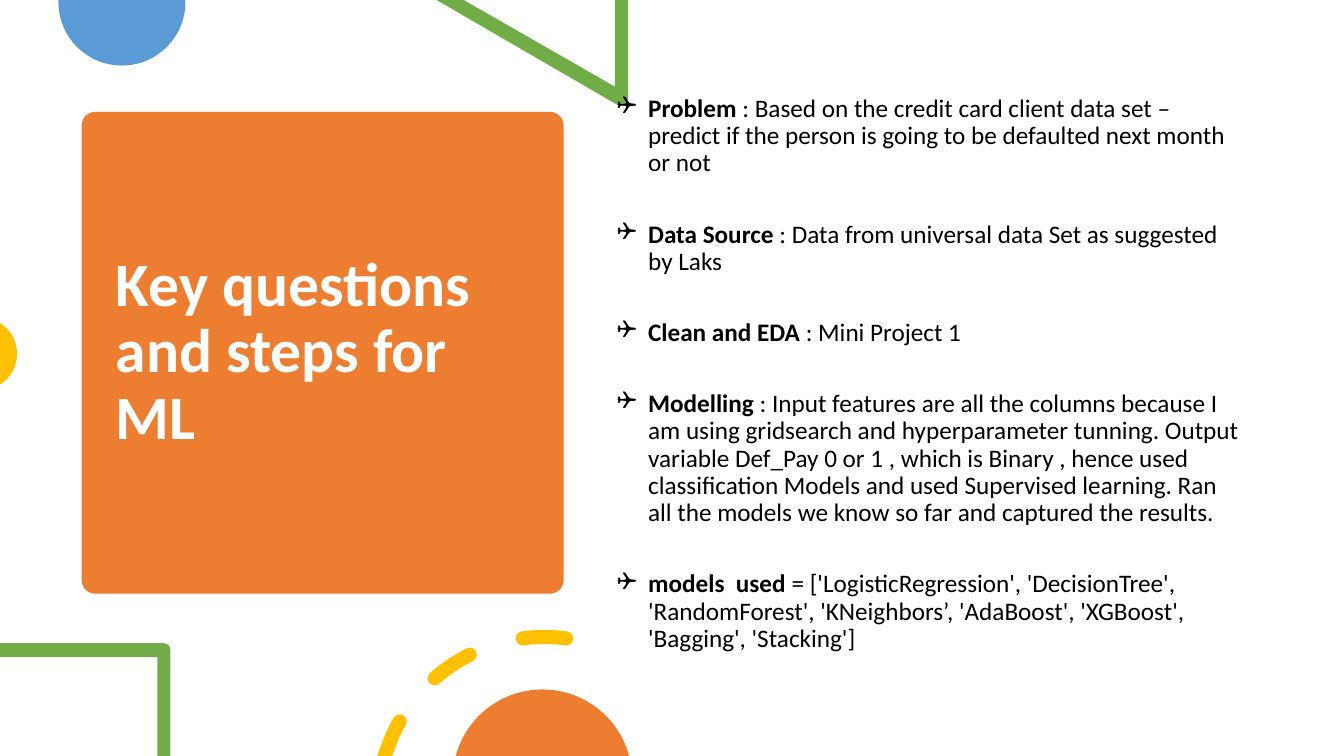
"""Build the slide on key questions and steps for a machine learning project."""
from math import ceil, cos, radians, sin, tan

from lxml import etree
from pptx import Presentation
from pptx.dml.color import RGBColor
from pptx.enum.shapes import MSO_SHAPE
from pptx.enum.text import MSO_ANCHOR, MSO_AUTO_SIZE, PP_ALIGN
from pptx.oxml.ns import qn
from pptx.util import Inches, Pt

ROUND = MSO_SHAPE.ROUNDED_RECTANGLE
MIDDLE = MSO_ANCHOR.MIDDLE
FIXED = MSO_AUTO_SIZE.NONE
LEFT = PP_ALIGN.LEFT
ORANGE, GREEN, YELLOW, BLUE = "ED7D31", "70AD47", "FFC000", "5B9BD5"
FONT = "Calibri"

deck = Presentation()
deck.slide_width, deck.slide_height = Inches(13.33), Inches(7.5)
slide = deck.slides.add_slide(deck.slide_layouts[5])
shapes = slide.shapes


def arc(x, y, r, start, end):
    """Return the first point of an arc, then its curves of three points each."""
    count = ceil(abs(end - start) / 90)
    step = radians(end - start) / count
    pull = 4 / 3 * tan(step / 4)
    parts = [(x + r * cos(radians(start)), y + r * sin(radians(start)))]
    for i in range(count):
        a = radians(start) + i * step
        b = a + step
        parts.append(((x + r * (cos(a) - pull * sin(a)), y + r * (sin(a) + pull * cos(a))),
                      (x + r * (cos(b) + pull * sin(b)), y + r * (sin(b) - pull * cos(b))),
                      (x + r * cos(b), y + r * sin(b))))
    return parts


def draw(color, *loops):
    """Draw filled outlines of points and curves as one shape."""
    pen = None
    for loop in loops:
        ends = [part if len(part) == 2 else part[-1] for part in loop]
        first, *rest = [(Inches(x), Inches(y)) for x, y in ends]
        if pen is None:
            pen = shapes.build_freeform(*first)
        else:
            pen.move_to(*first)
        pen.add_line_segments(rest, close=True)
    shape = pen.convert_to_shape()
    nodes = list(shape.element.iter(qn("a:moveTo"), qn("a:lnTo")))
    for node, part in zip(nodes, sum(loops, [])):
        if len(part) == 3:
            node.tag = qn("a:cubicBezTo")
            for i, (x, y) in enumerate(part[:2]):
                point = etree.Element(qn("a:pt"))
                point.set("x", str(Inches(x) - shape.left))
                point.set("y", str(Inches(y) - shape.top))
                node.insert(i, point)
    shape.shadow.inherit = False
    shape.fill.solid()
    shape.fill.fore_color.rgb = RGBColor.from_string(color)
    shape.line.fill.background()


title = shapes.title
card = shapes.add_shape(ROUND, Inches(0.81), Inches(1.11), Inches(4.78), Inches(4.78))
card.adjustments[0] = 0.028
card.shadow.inherit = False
card.fill.solid()
card.fill.fore_color.rgb = RGBColor.from_string(ORANGE)
card.line.fill.background()
title.element.addprevious(card.element)

title.left, title.top = Inches(1.05), Inches(1.22)
title.width, title.height = Inches(4.31), Inches(4.56)
frame = title.text_frame
frame.text = "Key questions and steps for ML"
frame.word_wrap = True
frame.auto_size = FIXED
frame.vertical_anchor = MIDDLE
head = frame.paragraphs[0]
head.alignment = LEFT
head.line_spacing = 0.9
head.space_after = Pt(6)
head.font.name, head.font.size, head.font.bold = FONT, Pt(44), True
head.font.color.rgb = RGBColor.from_string("FFFFFF")

draw(BLUE, [(1.84, 0), *arc(1.21, 0.02, 0.63, 0, 180), (0.58, 0)])
draw(GREEN, [(6.23, 0), (6.1, 0), (6.1, 0.86), (4.6, 0), (4.33, 0),
             *arc(6.16, 0.98, 0.07, 120, 0)])
draw(YELLOW, arc(-0.19, 3.51, 0.36, -58, 58))

box = shapes.add_textbox(Inches(6.02), Inches(0.9), Inches(6.39), Inches(5.95))
frame = box.text_frame
frame.word_wrap = True
items = [
    ("Problem", " : Based on the credit card client data set –predict if the person "
     "is going to be defaulted next month or not"),
    ("Data Source ", ": Data from universal data Set as suggested by Laks"),
    ("Clean and EDA ", ": Mini Project 1"),
    ("Modelling", " : Input features are all the columns because I am using gridsearch "
     "and hyperparameter tunning. Output variable Def_Pay 0 or 1 , which is Binary , "
     "hence used classification Models and used Supervised learning. Ran all the models "
     "we know so far and captured the results."),
    ("models  used ", "= ['LogisticRegression', 'DecisionTree', 'RandomForest', "
     "'KNeighbors’, 'AdaBoost', 'XGBoost', 'Bagging', 'Stacking']"),
]
for i, (label, text) in enumerate(items):
    para = frame.add_paragraph() if i else frame.paragraphs[0]
    para.line_spacing = 0.9
    para.space_after = Pt(31.4)
    props = para._p.get_or_add_pPr()
    props.set("marL", str(Inches(0.31)))
    props.set("indent", str(-Inches(0.31)))
    etree.SubElement(props, qn("a:buFont")).set("typeface", "Wingdings")
    etree.SubElement(props, qn("a:buChar")).set("char", "❑")
    para.font.name, para.font.size = FONT, Pt(18)
    para.font.color.rgb = RGBColor.from_string("000000")
    lead = para.add_run()
    lead.text = label
    lead.font.bold = True
    para.add_run().text = text

draw(GREEN, [(0, 6.38), *arc(1.62, 6.45, 0.07, -90, 0),
             (1.69, 7.5), (1.56, 7.5), (1.56, 6.52), (0, 6.52)])

mid_x, mid_y, ring, half = 5.4, 7.97, 1.65, 0.07
dashes = []
for start, end in [(199, 209.5), (228.7, 243.3), (262.5, 277.5)]:
    tail, tip = [(mid_x + ring * cos(radians(turn)), mid_y + ring * sin(radians(turn)))
                 for turn in (start, end)]
    dash = arc(mid_x, mid_y, ring + half, start, end)
    dash += arc(*tip, half, end, end + 180)[1:]
    dash += arc(mid_x, mid_y, ring - half, end, start)[1:]
    if start == 199:
        dash += [(3.89, 7.5), (3.74, 7.5)]
    else:
        dash += arc(*tail, half, start + 180, start + 360)[1:]
    dashes.append(dash)
draw(YELLOW, *dashes)
draw(ORANGE, arc(5.38, 7.73, 0.89, 195, 345))

deck.save("out.pptx")
